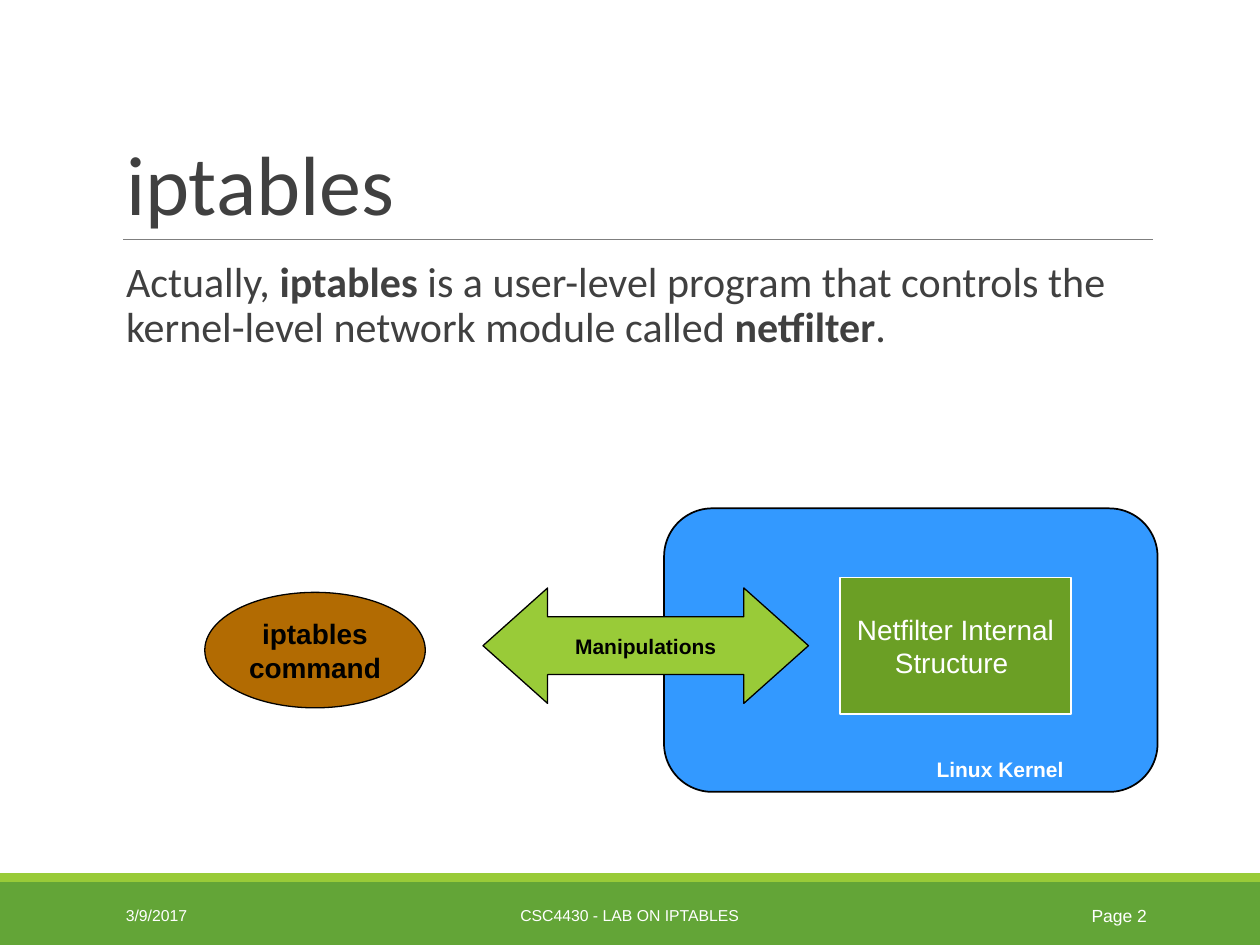
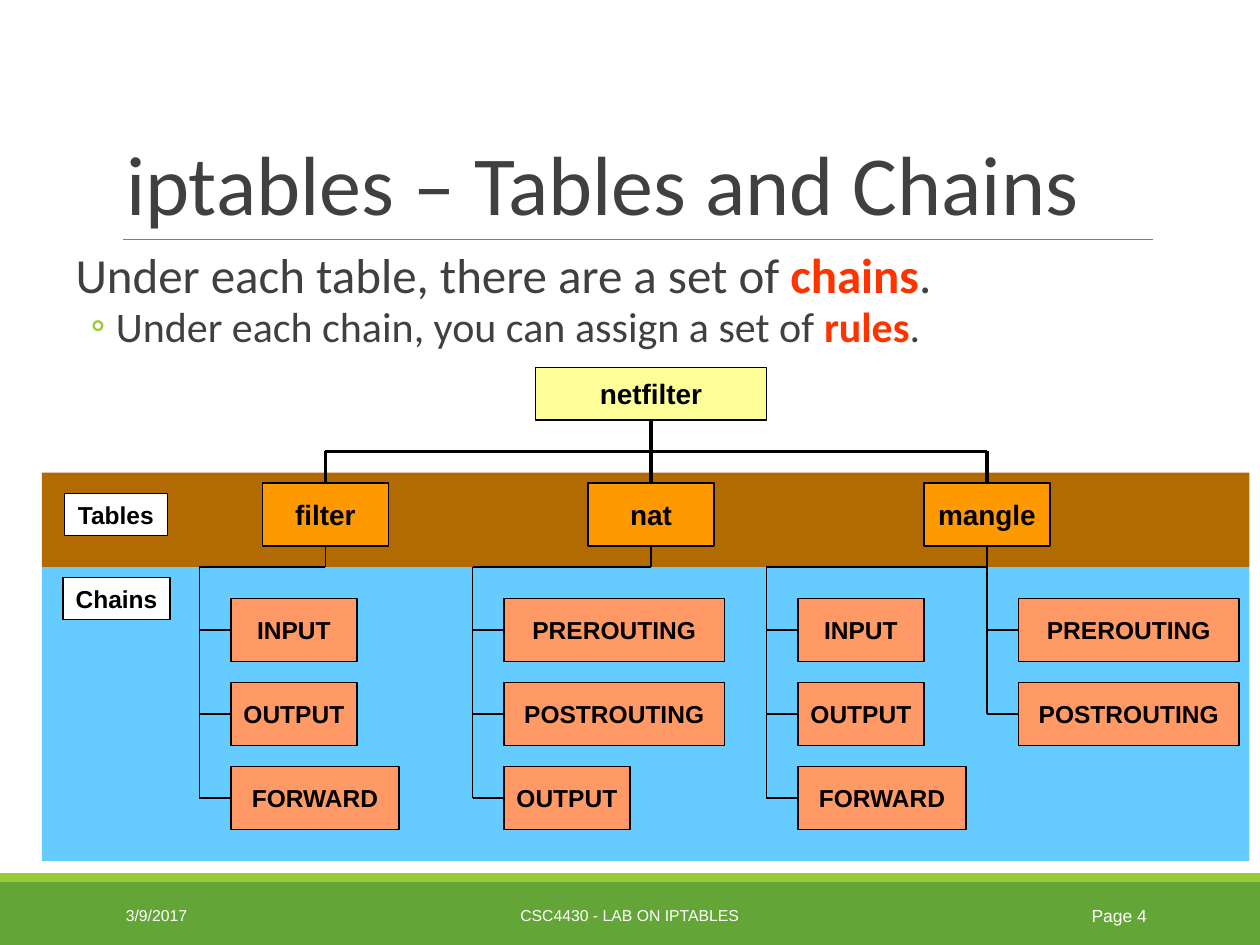
from dataclasses import dataclass
from typing import Any, Optional

from lxml import etree
from pptx import Presentation
from pptx.dml.color import RGBColor
from pptx.enum import shapes, text
from pptx.oxml import ns
from pptx.util import Pt

COLORS = {
    "black": "000000", "white": "FFFFFF", "text": "404040", "rule": "7F7F7F",
    "footer": "63A537", "lime": "99CB38", "green": "6B9F25", "brown": "B26B02",
    "kernel": "3399FF", "sky": "66CCFF", "orange": "FF9900", "salmon": "FF9966",
    "yellow": "FFFF99", "accent": "FF3300",
}
SHAPE = shapes.MSO_SHAPE
ALIGN = text.PP_ALIGN
ANCHOR = text.MSO_ANCHOR
TOP, LEFT, BOTTOM = 0, 1, 2  # connection sites


@dataclass(frozen=True)
class Block:
    """A preset shape, or a plain text box when kind is None; lengths in points."""
    left: float
    top: float
    width: float
    height: float
    lines: tuple[str, ...] = ()
    fill: Optional[str] = None
    line: Optional[str] = "black"
    weight: float = 0.75
    kind: Any = SHAPE.RECTANGLE
    size: float = 16
    color: str = "black"
    bold: bool = True
    align: Any = ALIGN.CENTER
    adjustments: tuple[float, ...] = ()


@dataclass(frozen=True)
class BodyLine:
    """Body text as (words, is_key_term) pieces with its paragraph format."""
    pieces: tuple[tuple[str, bool], ...]
    size: float
    spacing: float
    key_color: str = "text"
    level: int = 0
    before: float = 0
    after: float = 2


@dataclass(frozen=True)
class ChainGroup:
    """Chains hanging from the table whose centre is at table_x."""
    table_x: float
    left: float
    chains: tuple[str, ...]


def rgb(name: str) -> RGBColor:
    return RGBColor.from_string(COLORS[name])


def apply(target: Any, **values: Any) -> None:
    for name, value in values.items():
        setattr(target, name, value)


def add_run(paragraph: Any, words: str, font: str, size: float, color: str,
            bold: bool = False) -> None:
    run = paragraph.add_run()
    run.text = words
    apply(run.font, name=font, size=Pt(size), bold=bold)
    run.font.color.rgb = rgb(color)


def place(shape: Any, left: float, top: float, width: float, height: float) -> None:
    apply(shape, left=Pt(left), top=Pt(top), width=Pt(width), height=Pt(height))


def add_block(slide: Any, block: Block) -> Any:
    box = [Pt(v) for v in (block.left, block.top, block.width, block.height)]
    if block.kind is None:
        shape = slide.shapes.add_textbox(*box)
    else:
        shape = slide.shapes.add_shape(block.kind, *box)
        shape.shadow.inherit = False
        shape.fill.solid()
        shape.fill.fore_color.rgb = rgb(block.fill)
        if block.line:
            shape.line.color.rgb = rgb(block.line)
            shape.line.width = Pt(block.weight)
        else:
            shape.line.fill.background()
    for index, value in enumerate(block.adjustments):
        shape.adjustments[index] = value
    frame = shape.text_frame
    apply(frame, word_wrap=False, vertical_anchor=ANCHOR.MIDDLE,
          margin_left=Pt(7.2), margin_right=Pt(7.2),
          margin_top=Pt(3.6), margin_bottom=Pt(3.6))
    if block.kind is None:
        frame.word_wrap = True
    for index, words in enumerate(block.lines):
        paragraph = frame.add_paragraph() if index else frame.paragraphs[0]
        paragraph.alignment = block.align
        add_run(paragraph, words, "Arial", block.size, block.color, block.bold)
    return shape


def add_line(slide: Any, start: tuple[float, float], end: tuple[float, float],
             weight: float = 0.75, color: str = "black",
             joined: Any = None, site: int = TOP) -> None:
    """Draw a straight line, joined at its start to a shape if one is given."""
    line = slide.shapes.add_connector(
        shapes.MSO_CONNECTOR.STRAIGHT, *(Pt(v) for v in (*start, *end)))
    line.line.color.rgb = rgb(color)
    line.line.width = Pt(weight)
    etree.SubElement(line._element.spPr, ns.qn("a:effectLst"))
    if joined is not None:
        line.begin_connect(joined, site)


def set_bullet(paragraph: Any, level: int) -> None:
    properties = paragraph._p.get_or_add_pPr()
    margin, indent = ((30.24, -14.4) if level else (7.2, 0))
    properties.set("marL", str(Pt(margin)))
    properties.set("indent", str(Pt(indent)))
    if not level:
        etree.SubElement(properties, ns.qn("a:buNone"))
        return
    bullet_color = etree.SubElement(properties, ns.qn("a:buClr"))
    etree.SubElement(bullet_color, ns.qn("a:srgbClr"), val=COLORS["lime"])
    etree.SubElement(properties, ns.qn("a:buFont"), typeface="Calibri")
    etree.SubElement(properties, ns.qn("a:buChar"), char="◦")


def fill_body(body: Any, lines: list[BodyLine]) -> None:
    frame = body.text_frame
    apply(frame, auto_size=text.MSO_AUTO_SIZE.NONE, word_wrap=True,
          vertical_anchor=ANCHOR.TOP, margin_left=0, margin_right=0,
          margin_top=Pt(3.6), margin_bottom=Pt(3.6))
    for index, line in enumerate(lines):
        paragraph = frame.add_paragraph() if index else frame.paragraphs[0]
        set_bullet(paragraph, line.level)
        apply(paragraph, level=line.level, alignment=ALIGN.LEFT,
              line_spacing=line.spacing, space_before=Pt(line.before),
              space_after=Pt(line.after))
        for words, is_key in line.pieces:
            add_run(paragraph, words, "Calibri", line.size,
                    line.key_color if is_key else "text", is_key)


def add_base_slide(presentation: Any, title: str, page: int,
                   body_box: tuple[float, float, float, float],
                   body_lines: list[BodyLine]) -> Any:
    """Add a slide with the shared title, rule, body and footer."""
    slide = presentation.slides.add_slide(presentation.slide_layouts[1])
    # Title and body
    heading = slide.shapes.title
    place(heading, 64.8, 22.3, 594, 114.5)
    apply(heading.text_frame, auto_size=text.MSO_AUTO_SIZE.NONE, word_wrap=True,
          vertical_anchor=ANCHOR.BOTTOM)
    paragraph = heading.text_frame.paragraphs[0]
    apply(paragraph, alignment=ALIGN.LEFT, line_spacing=0.85)
    add_run(paragraph, title, "Calibri", 48, "text")
    body = slide.placeholders[1]
    place(body, *body_box)
    fill_body(body, body_lines)
    # Rule and footer bands
    add_line(slide, (70.5, 136.8), (658.8, 136.8), 0.5, "rule")
    add_block(slide, Block(0, 504, 720, 36, fill="footer", line=None))
    add_block(slide, Block(0, 499, 720, 5, fill="lime", line=None))
    # Footer text
    for left, width, words, size, align in (
            (64.8, 146, "3/9/2017", 9, ALIGN.LEFT),
            (217.5, 284.5, "CSC4430 - LAB ON IPTABLES", 9, ALIGN.CENTER),
            (584.6, 77.8, f"Page {page}", 10, ALIGN.RIGHT)):
        add_block(slide, Block(left, 508.5, width, 28.8, (words,), kind=None,
                               size=size, color="white", bold=False, align=align))
    return slide


def build_overview(presentation: Any) -> None:
    slide = add_base_slide(presentation, "iptables", 2, (64.8, 145.4, 594, 110), [
        BodyLine((("Actually, ", False), ("iptables", True),
                  (" is a user-level program that controls the kernel-level "
                   "network module called ", False),
                  ("netfilter", True), (".", False)), 24, 0.9)])
    for block in (
            Block(117, 338.5, 126, 66, ("iptables", "command"), "brown",
                  kind=SHAPE.OVAL),
            Block(379.5, 290.5, 282, 162, fill="kernel", weight=1,
                  kind=SHAPE.ROUNDED_RECTANGLE, adjustments=(0.17,)),
            Block(525, 428.5, 93, 22, ("Linux Kernel",), kind=None, size=12,
                  color="white"),
            Block(480, 330, 132, 78, ("Netfilter Internal", "Structure "), "green",
                  line="white", weight=1, color="white", bold=False),
            Block(276, 336, 186, 66, ("Manipulations",), "lime", size=12,
                  kind=SHAPE.LEFT_RIGHT_ARROW, adjustments=(0.5, 0.56))):
        add_block(slide, block)


def build_chains(presentation: Any) -> None:
    slide = add_base_slide(
        presentation, "iptables – Tables and Chains", 4, (36, 142.5, 648, 61), [
            BodyLine((("Under each table, there are a set of ", False),
                      ("chains", True), (".", False)), 28, 0.8, "accent"),
            BodyLine((("Under each chain, you can assign a set of ", False),
                      ("rules", True), (".", False)), 24, 0.8, "accent",
                     level=1, before=2, after=4)])
    # Bands
    branch_y = 324
    add_block(slide, Block(24, 270, 690, 54, fill="brown", line=None))
    add_block(slide, Block(24, branch_y, 690, 168, fill="sky", line=None))

    # Root and tables
    trunk_y, root_x = 258, 372
    tables = {"filter": 186, "nat": root_x, "mangle": 564}
    root = add_block(slide, Block(root_x - 66, 210, 132, 30, ("netfilter",), "yellow"))
    add_line(slide, (root_x, 240), (root_x, trunk_y), 2.25, joined=root, site=BOTTOM)
    add_line(slide, (tables["filter"], trunk_y), (tables["mangle"], trunk_y), 2.25)
    for name, x in tables.items():
        table = add_block(slide, Block(x - 36, 276, 72, 36, (name,), "orange"))
        add_line(slide, (x, 276), (x, trunk_y), 2.25, joined=table, site=TOP)
        add_line(slide, (x, 312), (x, branch_y), joined=table, site=BOTTOM)

    # Chains under each table
    widths = {"INPUT": 72, "OUTPUT": 72, "FORWARD": 96,
              "PREROUTING": 126, "POSTROUTING": 126}
    first_top, pitch, height, stub = 342, 48, 36, 18
    filter_chains = ("INPUT", "OUTPUT", "FORWARD")
    routing_chains = ("PREROUTING", "POSTROUTING")
    for group in (ChainGroup(tables["filter"], 132, filter_chains),
                  ChainGroup(tables["nat"], 288, routing_chains + ("OUTPUT",)),
                  ChainGroup(tables["mangle"], 456, filter_chains),
                  ChainGroup(tables["mangle"], 582, routing_chains)):
        stem_x = group.left - stub
        for row, name in enumerate(group.chains):
            top = first_top + row * pitch
            middle = top + height / 2
            chain = add_block(slide, Block(group.left, top, widths[name], height,
                                           (name,), "salmon", size=14))
            add_line(slide, (group.left, middle), (stem_x, middle),
                     joined=chain, site=LEFT)
        add_line(slide, (stem_x, middle), (stem_x, branch_y))
        if stem_x != group.table_x:
            add_line(slide, (group.table_x, branch_y), (stem_x, branch_y))

    # Band labels
    for left, top, width, label in ((36.7, 282, 59, "Tables"), (36, 330, 61.2, "Chains")):
        add_block(slide, Block(left, top, width, 24.2, (label,), "white", size=14))


def main() -> None:
    presentation = Presentation()
    apply(presentation, slide_width=Pt(720), slide_height=Pt(540))
    build_overview(presentation)
    build_chains(presentation)
    presentation.save("out.pptx")


if __name__ == "__main__":
    main()
